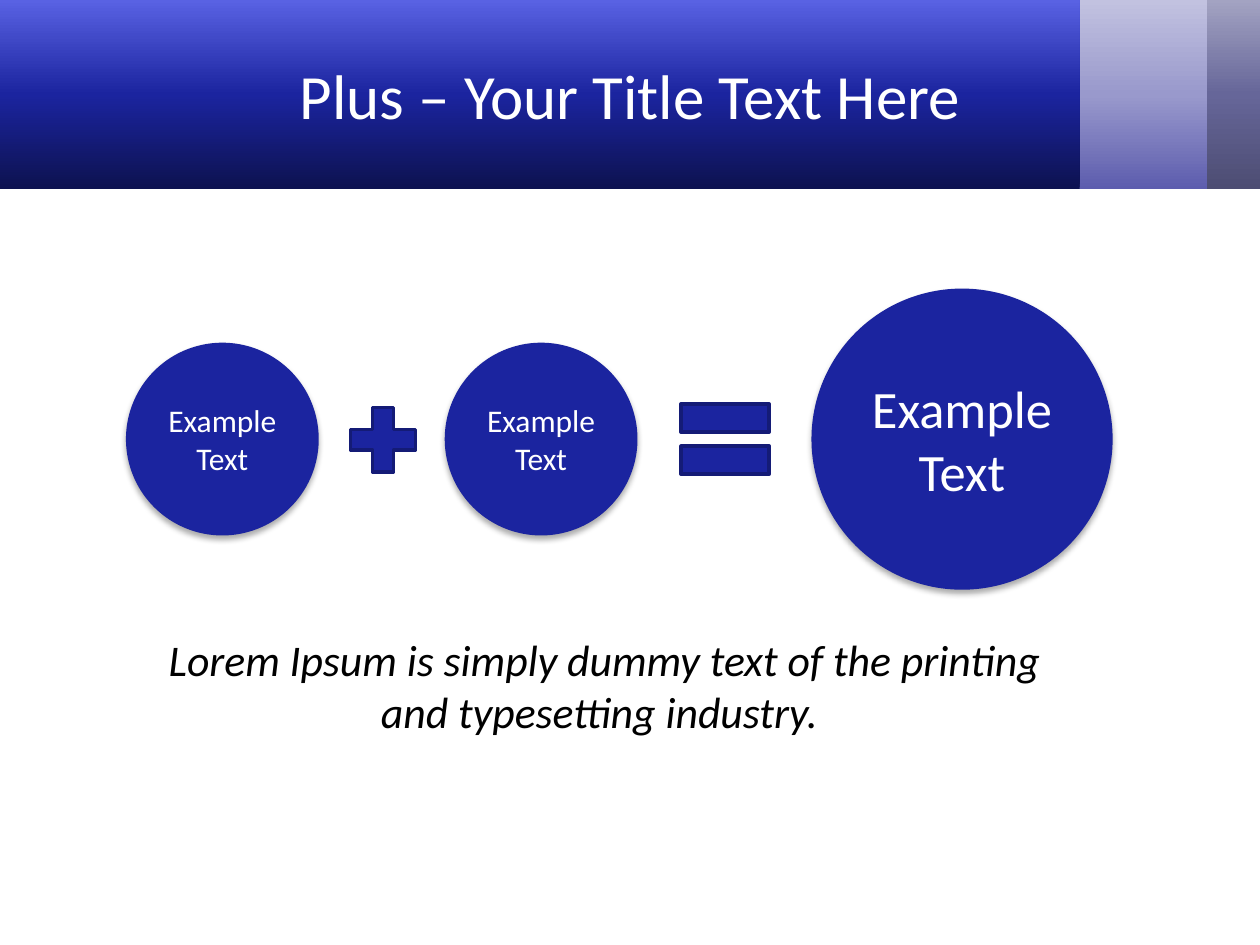
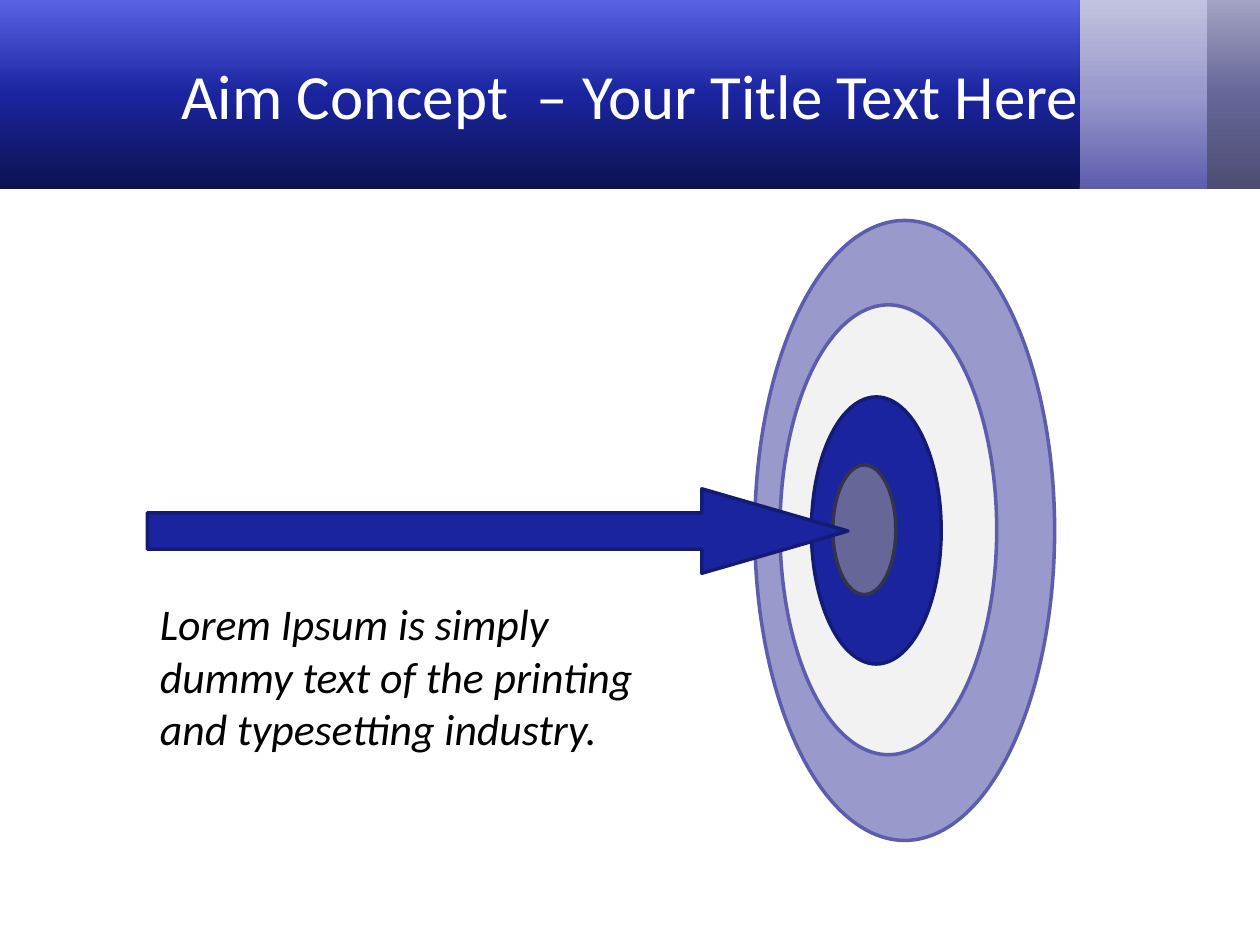
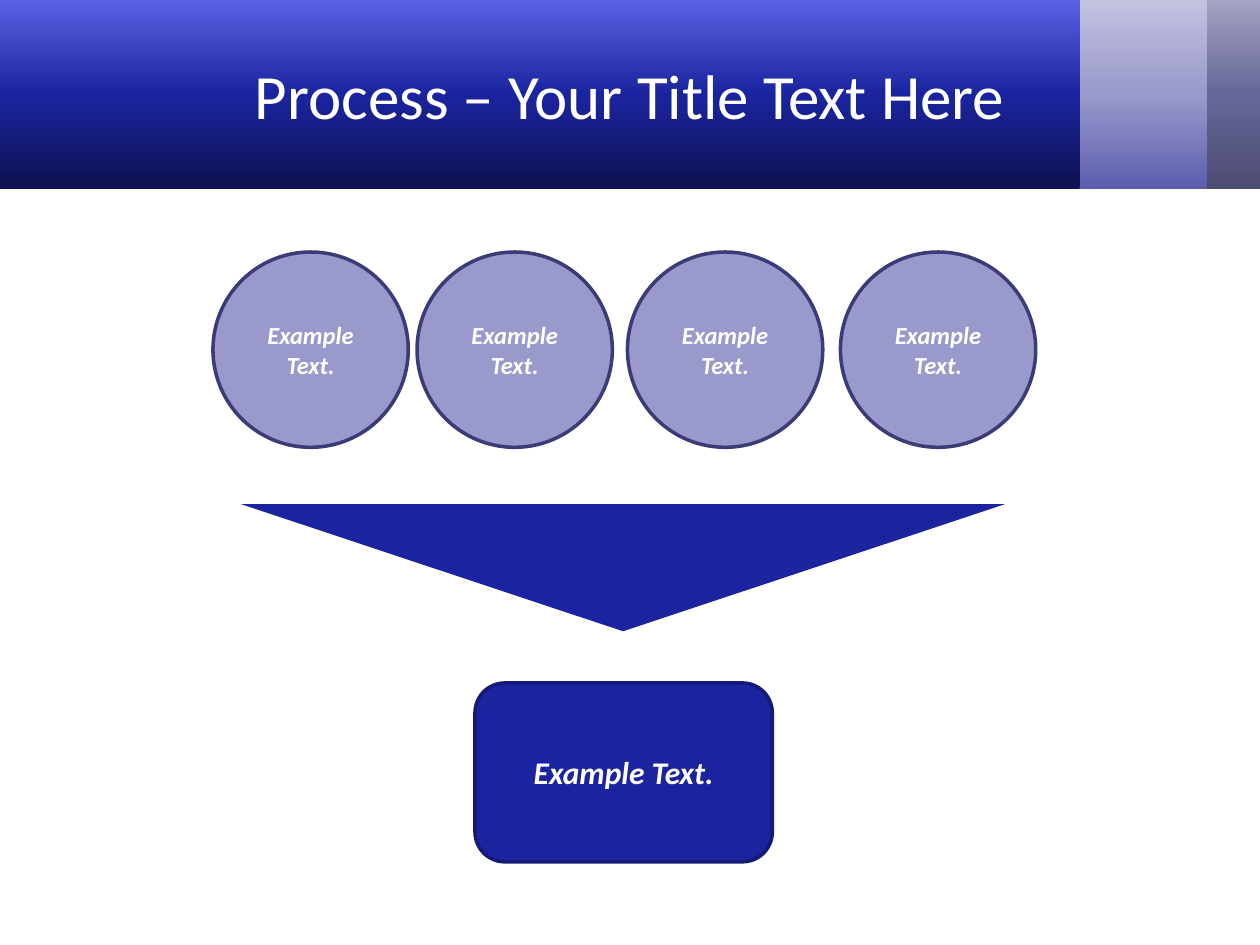
import copy
import pptx
import pptx.util
import pptx.dml.color
import pptx.enum.shapes
import pptx.enum.text
import pptx.oxml
import pptx.oxml.ns

RGB = pptx.dml.color.RGBColor
KIND = pptx.enum.shapes.MSO_SHAPE
ALIGN = pptx.enum.text.PP_ALIGN
PX = 9144

WHITE = RGB(0xFF, 0xFF, 0xFF)
BLACK = RGB(0x00, 0x00, 0x00)
PALE = RGB(0xF2, 0xF2, 0xF2)
BLUE = RGB(0x1B, 0x24, 0x9F)
NAVY = RGB(0x14, 0x1B, 0x76)
LILAC = RGB(0x99, 0x99, 0xCC)
VIOLET = RGB(0x5D, 0x5D, 0xAE)
PLUM = RGB(0x3B, 0x3B, 0x77)
SLATE = RGB(0x66, 0x66, 0x99)
DUSK = RGB(0x33, 0x33, 0x4C)

BANDS = [
    (943, 58, [RGB(0x4D, 0x4D, 0x73), SLATE, RGB(0xA3, 0xA3, 0xC2)]),
    (853, 105, [VIOLET, LILAC, RGB(0xC2, 0xC2, 0xE0)]),
    (0, 857, [RGB(0x0D, 0x12, 0x50), BLUE, RGB(0x59, 0x62, 0xE3)]),
]
TITLES = [
    "Plus – Your Title Text Here",
    "Aim Concept  – Your Title Text Here",
    "Process – Your Title Text Here",
]
LOREM = "Lorem Ipsum is simply dummy text of the printing and typesetting industry."
SHADOW = (
    '<a:effectLst xmlns:a="http://schemas.openxmlformats.org/drawingml/2006/main">'
    '<a:outerShdw blurRad="44450" dist="27940" dir="5400000" algn="ctr" rotWithShape="0">'
    '<a:srgbClr val="000000"><a:alpha val="32000"/></a:srgbClr>'
    '</a:outerShdw></a:effectLst>'
)


def draw(slide, kind, box, fill, edge=None):
    shape = slide.shapes.add_shape(kind, *[n * PX for n in box])
    shape.shadow.inherit = False
    shape.fill.solid()
    shape.fill.fore_color.rgb = fill
    if edge is None:
        shape.line.fill.background()
    else:
        shape.line.color.rgb = edge
        shape.line.width = pptx.util.Pt(2)
    return shape


def write(shape, text, size, color=WHITE, align=ALIGN.CENTER, bold=False, slant=False):
    frame = shape.text_frame
    frame.word_wrap = True
    frame.text = text
    para = frame.paragraphs[0]
    para.alignment = align
    font = para.runs[0].font
    font.name = "Calibri"
    font.size = pptx.util.Pt(size)
    font.color.rgb = color
    font.bold = bold
    font.italic = slant


deck = pptx.Presentation()
deck.slide_width = 1000 * PX
deck.slide_height = 750 * PX

for title in TITLES:
    slide = deck.slides.add_slide(deck.slide_layouts[6])
    for left, width, colors in BANDS:
        band = draw(slide, KIND.RECTANGLE, (left, 0, width, 150), BLUE)
        band.fill.gradient()
        band.fill.gradient_angle = 90
        stops = band._element.spPr.find(".//" + pptx.oxml.ns.qn("a:gsLst"))
        stops.append(copy.deepcopy(stops[-1]))
        for stop, place, color in zip(band.fill.gradient_stops, (0, 0.5, 1), colors):
            stop.position = place
            stop.color.rgb = color
    head = slide.shapes.add_textbox(50 * PX, 8 * PX, 900 * PX, 133 * PX)
    head.text_frame.vertical_anchor = pptx.enum.text.MSO_ANCHOR.MIDDLE
    write(head, title, 36)

plus, aim, process = deck.slides

draw(plus, KIND.MATH_PLUS, (269, 314, 70, 70), BLUE, NAVY)
draw(plus, KIND.MATH_EQUAL, (528, 301, 95, 95), BLUE, NAVY)
for left, top, side, size in [(100, 272, 153, 18), (353, 272, 153, 18), (644, 229, 239, 30)]:
    disc = draw(plus, KIND.OVAL, (left, top, side, side), BLUE)
    props = disc._element.spPr
    props.replace(props.find(pptx.oxml.ns.qn("a:effectLst")), pptx.oxml.parse_xml(SHADOW))
    write(disc, "Example Text", size)

for box, fill, edge in [
    ((599, 175, 238, 492), LILAC, VIOLET),
    ((619, 242, 172, 357), PALE, VIOLET),
    ((644, 315, 103, 212), BLUE, NAVY),
    ((661, 369, 50, 103), SLATE, DUSK),
]:
    draw(aim, KIND.OVAL, box, fill, edge)
arrow = draw(aim, KIND.RIGHT_ARROW, (117, 388, 556, 67), BLUE, NAVY)
arrow.adjustments[0] = 0.43
arrow.adjustments[1] = 1.73

for slide, box, text, align in [
    (plus, (117, 497, 725, 94), LOREM + " ", ALIGN.CENTER),
    (aim, (117, 469, 425, 136), LOREM, ALIGN.LEFT),
]:
    note = slide.shapes.add_textbox(*[n * PX for n in box])
    write(note, text, 25, BLACK, align, slant=True)
    note.text_frame.auto_size = pptx.enum.text.MSO_AUTO_SIZE.SHAPE_TO_FIT_TEXT

wedge = draw(process, KIND.ISOSCELES_TRIANGLE, (191, 400, 607, 101), BLUE)
wedge.adjustments[0] = 0.5
wedge.rotation = 180
for left in (169, 331, 498, 667):
    step = draw(process, KIND.OVAL, (left, 200, 155, 155), LILAC, PLUM)
    write(step, "Example Text.", 14, bold=True, slant=True)
goal = draw(process, KIND.ROUNDED_RECTANGLE, (377, 542, 236, 142), BLUE, NAVY)
write(goal, "Example Text.", 18, bold=True, slant=True)

deck.save("out.pptx")
